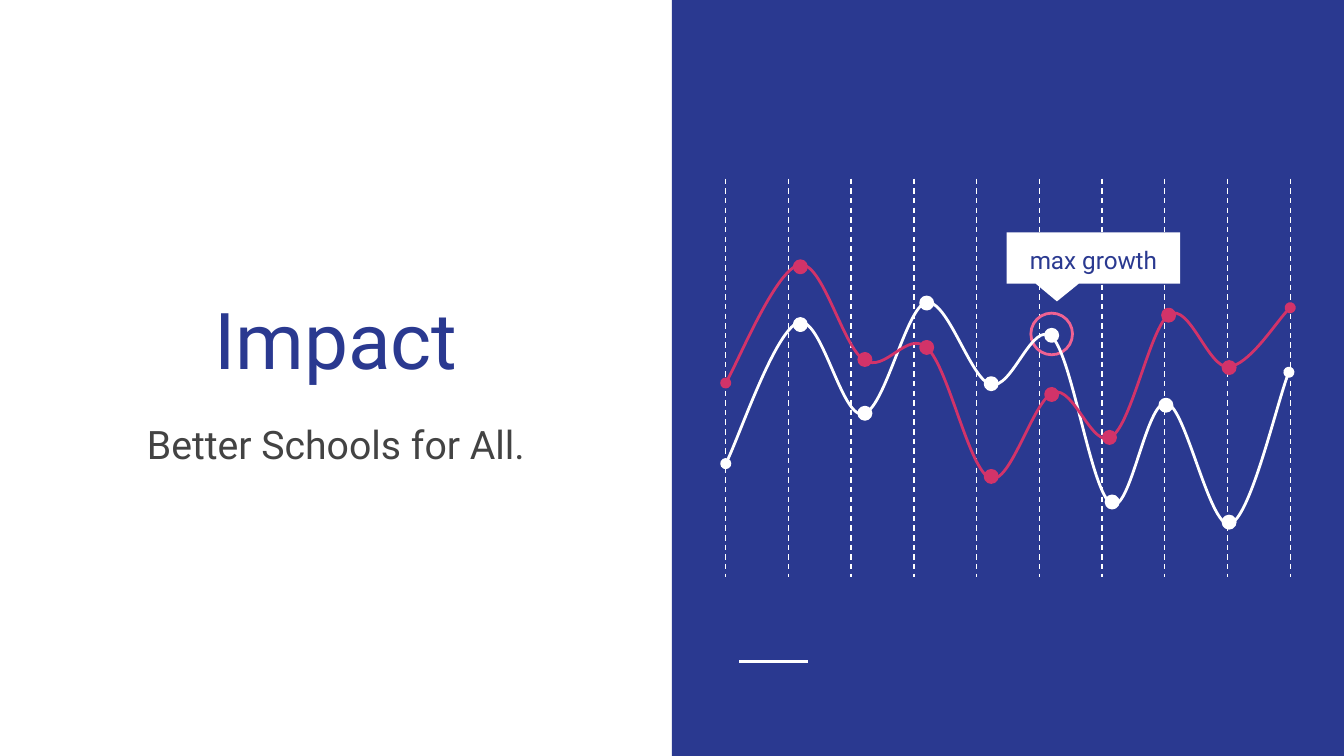
import pptx
import pptx.dml.color
import pptx.enum.dml
import pptx.enum.shapes
import pptx.enum.text
import pptx.oxml
import pptx.oxml.ns
import pptx.util
from pptx.util import Inches

THEME = {
    "font": "Roboto",
    "navy": "2A3990", "white": "FFFFFF", "gray": "434343",
    "red": "D23369", "pink": "F06292",
    "title": 42, "subtitle": 21, "label": 13,
    "thin": 0.75, "thick": 1.5,
}

TITLE = "Impact"
SUBTITLE = "Better Schools for All."
LABEL = "max growth"

WIDTH = 10
HEIGHT = WIDTH * 9 / 16

# Each curve row holds two control points and the end point of one Bézier segment.
WHITE_SERIES = {
    "color": "white",
    "start": (5.4, 3.45),
    "curve": [
        ((5.49, 3.28), (5.77, 2.46), (5.94, 2.4)),
        ((6.11, 2.34), (6.26, 3.11), (6.42, 3.08)),
        ((6.58, 3.06), (6.74, 2.29), (6.89, 2.25)),
        ((7.05, 2.22), (7.22, 2.82), (7.37, 2.86)),
        ((7.53, 2.91), (7.68, 2.37), (7.83, 2.51)),
        ((7.98, 2.66), (8.12, 3.67), (8.27, 3.75)),
        ((8.41, 3.83), (8.53, 2.97), (8.68, 3)),
        ((8.82, 3.02), (9, 3.93), (9.15, 3.9)),
        ((9.3, 3.86), (9.51, 2.96), (9.59, 2.77)),
    ],
    "dots": [(5.91, 2.37), (6.39, 3.03), (6.85, 2.21), (7.33, 2.81),
             (7.78, 2.45), (8.23, 3.69), (8.63, 2.97), (9.1, 3.84)],
}
RED_SERIES = {
    "color": "red",
    "start": (5.4, 2.85),
    "curve": [
        ((5.49, 2.7), (5.78, 2), (5.95, 1.97)),
        ((6.12, 1.94), (6.27, 2.58), (6.43, 2.68)),
        ((6.59, 2.78), (6.75, 2.45), (6.9, 2.59)),
        ((7.06, 2.74), (7.21, 3.5), (7.37, 3.56)),
        ((7.52, 3.61), (7.69, 2.97), (7.84, 2.92)),
        ((7.99, 2.87), (8.13, 3.35), (8.27, 3.25)),
        ((8.42, 3.16), (8.56, 2.43), (8.7, 2.34)),
        ((8.85, 2.25), (8.99, 2.74), (9.14, 2.73)),
        ((9.29, 2.72), (9.52, 2.36), (9.6, 2.29)),
    ],
    "dots": [(5.91, 1.94), (6.39, 2.63), (6.85, 2.54), (7.33, 3.5),
             (7.78, 2.89), (8.21, 3.21), (8.65, 2.3), (9.1, 2.69)],
}
DOT = 0.09
GRID = {"left": 5.4, "right": 9.6, "top": 1.33, "bottom": 4.29, "count": 10}


def rgb(name):
    return pptx.dml.color.RGBColor.from_string(THEME[name])


def style(sp, fill=None, line=None):
    sp.shadow.inherit = False
    if fill:
        sp.fill.solid()
        sp.fill.fore_color.rgb = rgb(fill)
    else:
        sp.fill.background()
    if line:
        sp.line.color.rgb = rgb(line)
        sp.line.width = pptx.util.Pt(THEME["thick"])
    else:
        sp.line.fill.background()


def add_shape(shapes, kind, box, fill=None, line=None):
    sp = shapes.add_shape(kind, *map(Inches, box))
    style(sp, fill, line)
    return sp


def add_line(shapes, start, end, width, dash=None):
    line = shapes.add_connector(pptx.enum.shapes.MSO_CONNECTOR.STRAIGHT,
                                *map(Inches, (*start, *end)))
    line.line.color.rgb = rgb("white")
    line.line.width = pptx.util.Pt(THEME[width])
    line.line.dash_style = dash
    line.element.spPr.append(pptx.oxml.parse_xml(
        f'<a:effectLst {pptx.oxml.ns.nsdecls("a")}/>'))


def add_curve(shapes, start, curve, color):
    """Draw an open Bézier path with a round marker at both ends."""
    points = [tuple(map(Inches, point)) for row in curve for point in row]
    builder = shapes.build_freeform(*map(Inches, start))
    builder.add_line_segments(points, close=False)
    sp = builder.convert_to_shape()
    style(sp, line=color)

    # Turn every three straight steps into one cubic segment.
    qn, nsdecls = pptx.oxml.ns.qn, pptx.oxml.ns.nsdecls
    steps = list(sp.element.iter(qn("a:lnTo")))
    for i in range(0, len(steps), 3):
        cubic = pptx.oxml.parse_xml(f'<a:cubicBezTo {nsdecls("a")}/>')
        steps[i].addprevious(cubic)
        for step in steps[i:i + 3]:
            cubic.append(step[0])
            step.getparent().remove(step)
    ln = sp.element.spPr.find(qn("a:ln"))
    for end in ("headEnd", "tailEnd"):
        ln.append(pptx.oxml.parse_xml(f'<a:{end} {nsdecls("a")} type="oval"/>'))


def add_series(s, series):
    shapes = s.shapes.add_group_shape().shapes
    add_curve(shapes, series["start"], series["curve"], series["color"])
    for dot in series["dots"]:
        add_shape(shapes, pptx.enum.shapes.MSO_SHAPE.OVAL, (*dot, DOT, DOT),
                  series["color"], series["color"])


def fill_placeholder(sp, text, box, size, color, anchor, spacing=1.0):
    sp.left, sp.top, sp.width, sp.height = map(Inches, box)
    tf = sp.text_frame
    tf.text = text
    tf.word_wrap = True
    tf.auto_size = pptx.enum.text.MSO_AUTO_SIZE.NONE
    tf.vertical_anchor = anchor
    tf.margin_left = tf.margin_right = tf.margin_top = tf.margin_bottom = Inches(0.1)
    p = tf.paragraphs[0]
    p.alignment = pptx.enum.text.PP_ALIGN.CENTER
    p.line_spacing = spacing
    p.space_before = pptx.util.Pt(0)
    p.font.name = THEME["font"]
    p.font.size = pptx.util.Pt(THEME[size])
    p.font.bold = False
    p.font.color.rgb = rgb(color)


def main():
    prs = pptx.Presentation()
    prs.slide_width, prs.slide_height = Inches(WIDTH), Inches(HEIGHT)
    s = prs.slides.add_slide(prs.slide_layouts.get_by_name("Comparison"))
    title, subtitle, left_content, label, right_content = s.placeholders
    for sp in (left_content, right_content):
        sp.element.getparent().remove(sp.element)

    kinds = pptx.enum.shapes.MSO_SHAPE
    anchors = pptx.enum.text.MSO_ANCHOR
    fill_placeholder(title, TITLE, (0.29, 1.26, 4.42, 1.71),
                     "title", "navy", anchors.BOTTOM)
    fill_placeholder(subtitle, SUBTITLE, (0.29, 3.03, 4.42, 1.39),
                     "subtitle", "gray", anchors.TOP)
    fill_placeholder(label, LABEL, (7.49, 1.76, 1.29, 0.31),
                     "label", "navy", anchors.MIDDLE, 1.15)

    add_shape(s.shapes, kinds.RECTANGLE, (WIDTH / 2, 0, WIDTH / 2, HEIGHT), "navy")
    add_line(s.shapes, (5.5, 4.92), (6.01, 4.92), "thick")

    grid = s.shapes.add_group_shape().shapes
    step = (GRID["right"] - GRID["left"]) / (GRID["count"] - 1)
    for i in range(GRID["count"]):
        x = GRID["left"] + i * step
        add_line(grid, (x, GRID["top"]), (x, GRID["bottom"]), "thin",
                 pptx.enum.dml.MSO_LINE.DASH)

    add_shape(s.shapes, kinds.OVAL, (7.67, 2.33, 0.31, 0.31), line="pink")
    add_series(s, WHITE_SERIES)
    callout = add_shape(s.shapes, kinds.ROUNDED_RECTANGULAR_CALLOUT,
                        (7.49, 1.73, 1.29, 0.38), "white")
    for i, value in enumerate((-0.21, 0.85, 0)):
        callout.adjustments[i] = value
    add_series(s, RED_SERIES)

    # The label sits on top of its callout.
    label.element.getparent().append(label.element)
    prs.save("out.pptx")


if __name__ == "__main__":
    main()
